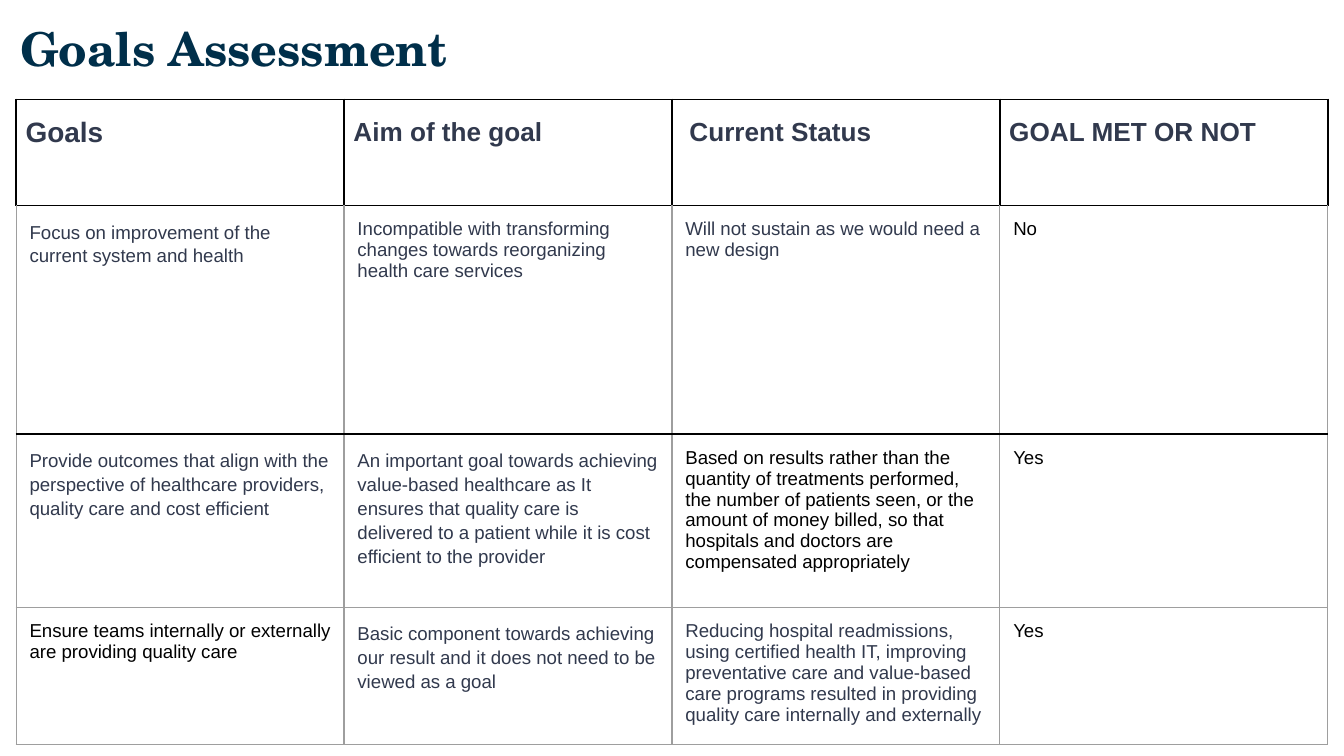
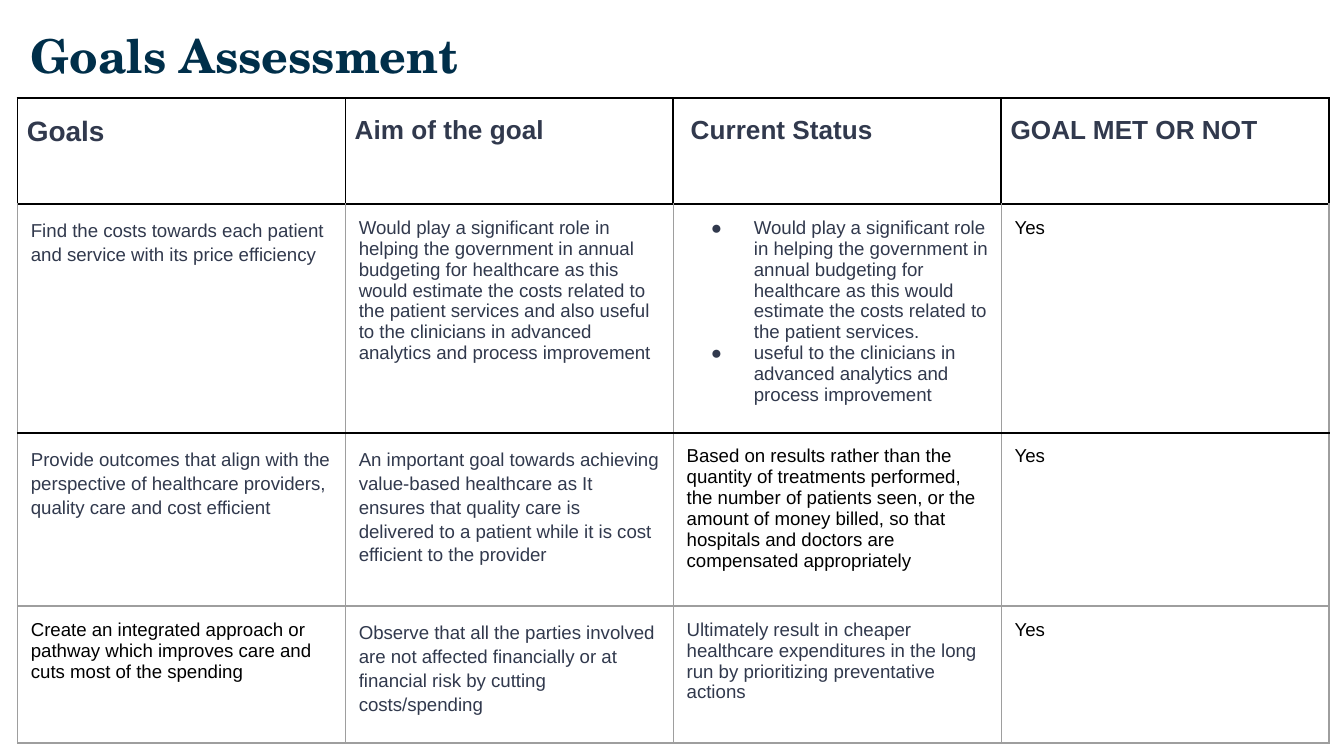
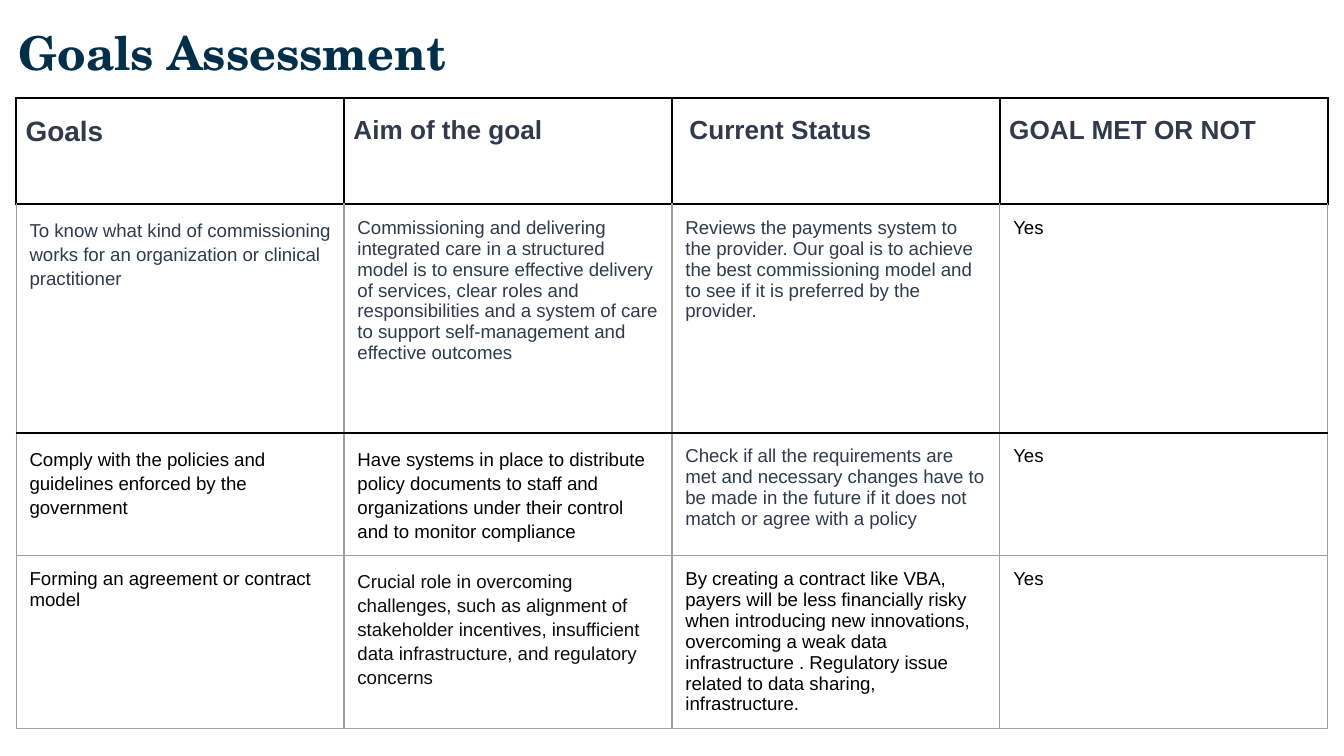
from dataclasses import dataclass

from lxml import etree
from pptx import Presentation
from pptx.dml.color import RGBColor
from pptx.enum.text import MSO_ANCHOR, MSO_AUTO_SIZE, PP_ALIGN
from pptx.oxml.ns import qn
from pptx.util import Inches, Pt

TOP = MSO_ANCHOR.TOP
LEFT = PP_ALIGN.LEFT
NO_AUTOFIT = MSO_AUTO_SIZE.NONE
TITLE_ONLY = 5


@dataclass(frozen=True)
class Theme:
    """Colours, fonts, sizes and spacing shared by all slides."""

    navy: str = "002F4A"
    slate: str = "31394D"
    black: str = "000000"
    soft_black: str = "0D0D0D"
    grey: str = "9E9E9E"
    title_font: str = "TeX Gyre Schola"
    body_font: str = "Arial"
    title_size: float = 25
    first_head_size: float = 15
    head_size: float = 14
    body_size: float = 10
    loose_spacing: float = 1.15
    inset: float = 0.1
    head_inset: float = 0.07
    strong_line: float = 1
    thin_line: float = 0.75


THEME = Theme()
PAGE_WIDTH = Inches(10)
PAGE_HEIGHT = PAGE_WIDTH * 9 // 16
COLUMN_WIDTH = 2.44
HEADINGS = ("Goals", "Aim of the goal", "Current Status", "GOAL MET OR NOT")
STATUS_HEAD_INSET = 0.13
LOOSE_CELLS = {(1, 0), (2, 0), (2, 1), (3, 1)}
MET_COLUMN = 3
OUTCOMES_ROW = (
    "Provide outcomes that align with the perspective of healthcare providers, quality care and cost efficient",
    "An important goal towards achieving value-based healthcare as It ensures that quality care is delivered "
    "to a patient while it is cost efficient to the provider",
    "Based on results rather than the quantity of treatments performed, the number of patients seen, or the "
    "amount of money billed, so that hospitals and doctors are compensated appropriately",
    "Yes",
)
OUTCOMES_INKS = {(2, 2): THEME.black, (3, 0): THEME.black}

PAGES = (
    {
        "title_box": (0.05, 0.05, 9.32, 0.68),
        "table_at": (0.12, 0.74),
        "heights": (0.79, 1.7, 1.29, 1.02),
        "inks": OUTCOMES_INKS,
        "rows": (
            (
                "Focus on improvement of the current system and health",
                "Incompatible with transforming changes towards reorganizing health care services",
                "Will not sustain as we would need a new design",
                "No",
            ),
            OUTCOMES_ROW,
            (
                "Ensure teams internally or externally are providing quality care",
                "Basic component towards achieving our result and it does not need to be viewed as a goal",
                "Reducing hospital readmissions, using certified health IT, improving preventative care and "
                "value-based care programs resulted in providing quality care internally and externally",
                "Yes",
            ),
        ),
    },
    {
        "title_box": (0.13, 0.1, 9.32, 0.63),
        "table_at": (0.13, 0.73),
        "heights": (0.79, 1.7, 1.29, 1.02),
        "inks": OUTCOMES_INKS,
        "rows": (
            (
                "Find the costs towards each patient and service with its price efficiency",
                "Would play a significant role in helping the government in annual budgeting for healthcare as "
                "this would estimate the costs related to the patient services and also useful to the "
                "clinicians in advanced analytics and process improvement",
                [
                    "Would play a significant role in helping the government in annual budgeting for healthcare "
                    "as this would estimate the costs related to the patient services.",
                    "useful to the clinicians in advanced analytics and process improvement",
                ],
                "Yes",
            ),
            OUTCOMES_ROW,
            (
                "Create an integrated approach or pathway which improves care and cuts most of the spending",
                "Observe that all the parties involved are not affected financially or at financial risk by "
                "cutting costs/spending",
                "Ultimately result in cheaper healthcare expenditures in the long run by prioritizing "
                "preventative actions",
                "Yes",
            ),
        ),
    },
    {
        "title_box": (0.04, 0.08, 9.32, 0.63),
        "table_at": (0.12, 0.73),
        "heights": (0.79, 1.7, 0.91, 1.15),
        "inks": {
            (2, 0): THEME.black,
            (2, 1): THEME.black,
            (3, 0): THEME.black,
            (3, 1): THEME.soft_black,
            (3, 2): THEME.black,
        },
        "rows": (
            (
                "To know what kind of commissioning works for an organization or clinical practitioner",
                "Commissioning and delivering integrated care in a structured model is to ensure effective "
                "delivery of services, clear roles and responsibilities and a system of care to support "
                "self-management and effective outcomes",
                "Reviews the payments system to the provider. Our goal is to achieve the best commissioning "
                "model and to see if it is preferred by the provider.",
                "Yes",
            ),
            (
                "Comply with the policies and guidelines enforced by the government",
                "Have systems in place to distribute policy documents to staff and organizations under their "
                "control and to monitor compliance",
                "Check if all the requirements are met and necessary changes have to be made in the future if "
                "it does not match or agree with a policy",
                "Yes",
            ),
            (
                "Forming an agreement or contract model",
                "Crucial role in overcoming challenges, such as alignment of stakeholder incentives, "
                "insufficient data infrastructure, and regulatory concerns",
                "By creating a contract like VBA, payers will be less financially risky when introducing new "
                "innovations, overcoming a weak data infrastructure . Regulatory issue related to data "
                "sharing, infrastructure.",
                "Yes",
            ),
        ),
    },
)


def set_all(target, values):
    """Set each attribute named in a dict of format values."""
    for name, value in values.items():
        setattr(target, name, value)


def add_span(para, text, font, size, ink, bold):
    """Add one formatted run to a paragraph."""
    span = para.add_run()
    span.text = text
    set_all(span.font, {"name": font, "size": Pt(size), "bold": bold})
    span.font.color.rgb = RGBColor.from_string(ink)


def add_bullet(para, ink):
    """Give a paragraph a hanging round bullet."""
    props = para._p.get_or_add_pPr()
    props.set("marL", str(Inches(0.5)))
    props.set("indent", str(Inches(-0.32)))
    colour = etree.SubElement(props, qn("a:buClr"))
    etree.SubElement(colour, qn("a:srgbClr"), val=ink)
    etree.SubElement(props, qn("a:buSzPts"), val=str(THEME.body_size * 100))
    etree.SubElement(props, qn("a:buFont"), typeface=THEME.body_font)
    etree.SubElement(props, qn("a:buChar"), char="●")


def set_borders(cell, edges):
    """Draw the cell's edges from a dict of side to colour and width."""
    props = cell._tc.get_or_add_tcPr()
    for side in "LRTB":
        ink, width = edges[side]
        line = etree.SubElement(props, qn(f"a:ln{side}"), w=str(Pt(width)))
        fill = etree.SubElement(line, qn("a:solidFill"))
        etree.SubElement(fill, qn("a:srgbClr"), val=ink)


def edges_for(row):
    """Return the borders of a row: strong round the header and under the first goal."""
    strong = (THEME.black, THEME.strong_line)
    thin = (THEME.grey, THEME.thin_line)
    side = strong if row == 0 else thin
    return {
        "L": side,
        "R": side,
        "T": strong if row <= 2 else thin,
        "B": strong if row <= 1 else thin,
    }


def fill_cell(cell, row, column, content, inks):
    """Write and format one table cell."""
    header = row == 0
    side = THEME.head_inset if header else THEME.inset
    left = STATUS_HEAD_INSET if header and column == 2 else side
    set_all(cell, {
        "margin_left": Inches(left),
        "margin_right": Inches(side),
        "margin_top": Inches(THEME.inset),
        "margin_bottom": Inches(THEME.inset),
        "vertical_anchor": TOP,
    })
    set_borders(cell, edges_for(row))
    cell.fill.background()

    size = THEME.body_size
    if header:
        size = THEME.head_size if column else THEME.first_head_size
    default_ink = THEME.black if column == MET_COLUMN and not header else THEME.slate
    ink = inks.get((row, column), default_ink)
    bulleted = isinstance(content, list)
    frame = cell.text_frame
    for index, text in enumerate(content if bulleted else [content]):
        para = frame.add_paragraph() if index else frame.paragraphs[0]
        if bulleted:
            add_bullet(para, ink)
        if header or (row, column) in LOOSE_CELLS:
            para.line_spacing = THEME.loose_spacing
        add_span(para, text, THEME.body_font, size, ink, header)


def add_title(page, box):
    """Place and format the slide title."""
    title = page.shapes.title
    set_all(title, dict(zip(("left", "top", "width", "height"), map(Inches, box))))
    frame = title.text_frame
    margins = ("margin_left", "margin_right", "margin_top", "margin_bottom")
    set_all(frame, dict.fromkeys(margins, Inches(THEME.inset)))
    set_all(frame, {"vertical_anchor": TOP, "word_wrap": True, "auto_size": NO_AUTOFIT})
    para = frame.paragraphs[0]
    para.alignment = LEFT
    add_span(para, "Goals Assessment", THEME.title_font, THEME.title_size, THEME.navy, True)


def add_goals_table(page, at, heights, rows, inks):
    """Add the goals table with its header row."""
    left, top = at
    count = len(HEADINGS)
    table = page.shapes.add_table(
        len(heights), count, Inches(left), Inches(top),
        Inches(COLUMN_WIDTH * count), Inches(sum(heights)),
    ).table
    set_all(table, {"first_row": False, "horz_banding": False})
    for column in table.columns:
        column.width = Inches(COLUMN_WIDTH)
    for row, (height, contents) in enumerate(zip(heights, (HEADINGS, *rows))):
        table.rows[row].height = Inches(height)
        for column, content in enumerate(contents):
            fill_cell(table.cell(row, column), row, column, content, inks)


def main():
    """Build the deck and save it."""
    deck = Presentation()
    set_all(deck, {"slide_width": PAGE_WIDTH, "slide_height": PAGE_HEIGHT})
    for plan in PAGES:
        page = deck.slides.add_slide(deck.slide_layouts[TITLE_ONLY])
        add_goals_table(page, plan["table_at"], plan["heights"], plan["rows"], plan["inks"])
        add_title(page, plan["title_box"])
    deck.save("out.pptx")


if __name__ == "__main__":
    main()
